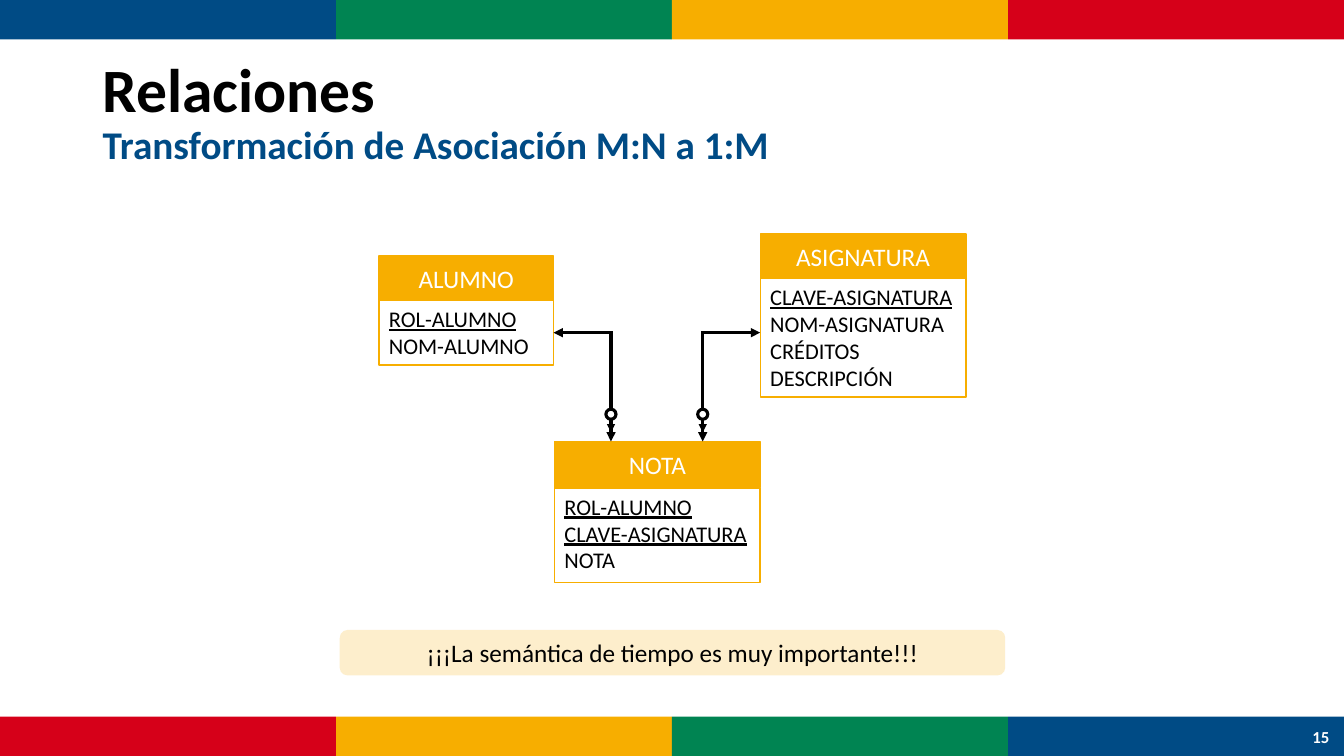
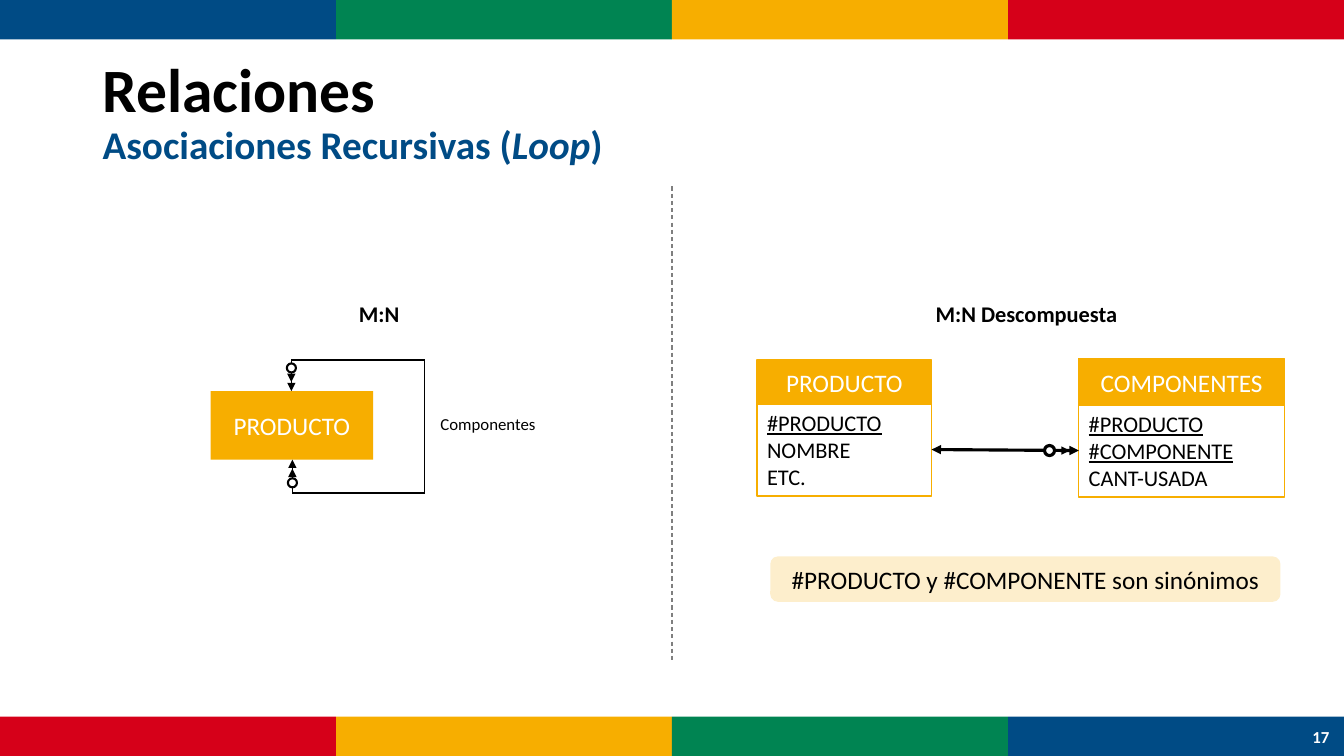
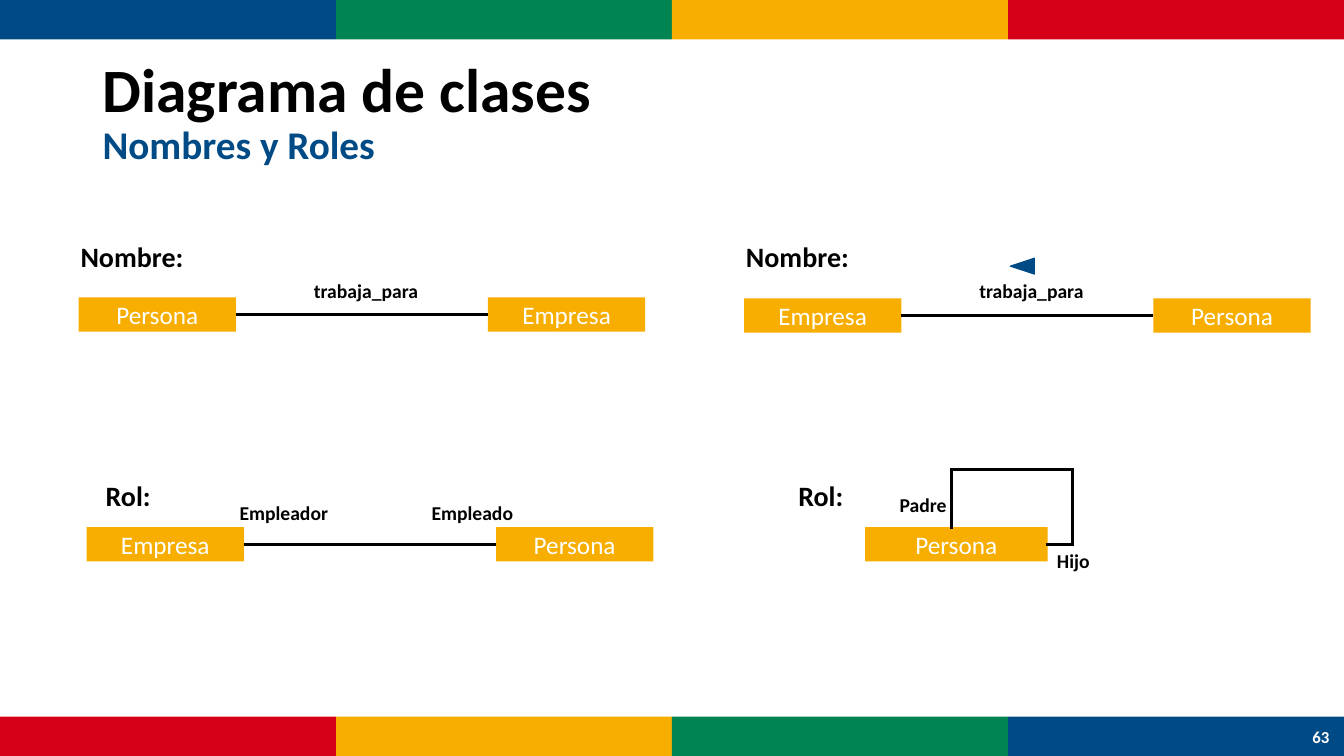
from pptx import Presentation
from pptx.dml.color import RGBColor
from pptx.enum.dml import MSO_LINE
from pptx.enum.shapes import MSO_CONNECTOR, MSO_SHAPE
from pptx.enum.text import MSO_ANCHOR, PP_ALIGN
from pptx.oxml.ns import qn
from pptx.util import Inches, Pt
from lxml import etree

# Shared colours and styles
BLUE = RGBColor(0x00, 0x4B, 0x85)
GREEN = RGBColor(0x00, 0x84, 0x52)
YELLOW = RGBColor(0xF7, 0xAE, 0x00)
RED = RGBColor(0xD6, 0x00, 0x19)
GREY = RGBColor(0x7F, 0x7F, 0x7F)
BLACK = RGBColor(0x00, 0x00, 0x00)
WHITE = RGBColor(0xFF, 0xFF, 0xFF)
BAND_COLORS = [BLUE, GREEN, YELLOW, RED]
FONT = "Calibri"

RECTANGLE = MSO_SHAPE.RECTANGLE
ROUNDED = MSO_SHAPE.ROUNDED_RECTANGLE
OVAL = MSO_SHAPE.OVAL
TRIANGLE = MSO_SHAPE.ISOSCELES_TRIANGLE
STRAIGHT = MSO_CONNECTOR.STRAIGHT
DASH = MSO_LINE.DASH
LEFT, CENTER = PP_ALIGN.LEFT, PP_ALIGN.CENTER
TOP, MIDDLE = MSO_ANCHOR.TOP, MSO_ANCHOR.MIDDLE

# Grid of one-inch cells: columns across, rows down
COLUMNS, ROWS = 13.33, 7.5
BAND_HEIGHT = 0.39
HEADER_HEIGHT = 0.44
CLASS_WIDTH, CLASS_HEIGHT, CLASS_GAP = 1.56, 0.34, 2.5


def grid(*cells):
    return [Inches(cell) for cell in cells]


# Text
def add_run(paragraph, text, size, color=BLACK, bold=False, italic=False, underline=False):
    run = paragraph.add_run()
    run.text = text
    font = run.font
    font.name, font.size = FONT, Pt(size)
    font.bold, font.italic, font.underline = bold, italic, underline
    font.color.rgb = color


def write(shape, lines, size, color=BLACK, bold=False, align=CENTER, anchor=MIDDLE, underlined=0):
    """Write one paragraph per line; the first `underlined` lines are keys."""
    frame = shape.text_frame
    frame.word_wrap = True
    frame.vertical_anchor = anchor
    for index, line in enumerate(lines):
        paragraph = frame.paragraphs[0] if index == 0 else frame.add_paragraph()
        paragraph.alignment = align
        add_run(paragraph, line, size, color, bold, underline=index < underlined)


def add_label(slide, place, text, size, bold=True, align=CENTER, color=BLACK, anchor=TOP):
    label = slide.shapes.add_textbox(*grid(*place))
    write(label, [text], size, color, bold, align, anchor)


# Shapes and lines
def add_block(slide, place, fill=None, line=None, line_width=1, kind=RECTANGLE):
    block = slide.shapes.add_shape(kind, *grid(*place))
    block.shadow.inherit = False
    if fill is None:
        block.fill.background()
    else:
        block.fill.solid()
        block.fill.fore_color.rgb = fill
    if line is None:
        block.line.fill.background()
    else:
        block.line.color.rgb = line
        block.line.width = Pt(line_width)
    return block


def add_line(slide, start, end, width, color=BLACK, head=False, tail=False):
    line = slide.shapes.add_connector(STRAIGHT, *grid(*start, *end))
    line.line.color.rgb = color
    line.line.width = Pt(width)
    properties = line.line._get_or_add_ln()
    for tag, wanted in (("a:headEnd", head), ("a:tailEnd", tail)):
        if wanted:
            etree.SubElement(properties, qn(tag)).set("type", "triangle")
    etree.SubElement(line._element.spPr, qn("a:effectLst"))
    return line


def add_route(slide, points, width, arrows=False):
    """Join the points with straight pieces, with arrowheads at both ends."""
    last = len(points) - 2
    for index, (start, end) in enumerate(zip(points, points[1:])):
        piece = add_line(slide, start, end, width, head=arrows and index == 0,
                         tail=arrows and index == last)
        piece.line._get_or_add_ln().set("cap", "sq")


def add_many_mark(slide, tip, outward, distance, circle=0.1, circle_line=2.25):
    """Second arrowhead and optional circle behind the arrow tip."""
    def behind(length):
        return tip[0] + outward[0] * length, tip[1] + outward[1] * length

    add_line(slide, behind(distance), behind(0.09), 1, tail=True)
    x, y = behind(distance)
    add_block(slide, (x - circle / 2, y - circle / 2, circle, circle),
              WHITE, BLACK, circle_line, OVAL)


# Diagram elements
def add_entity(slide, left, top, width, body_height, name, fields, keys, header=HEADER_HEIGHT):
    title = add_block(slide, (left, top, width, header), YELLOW, YELLOW)
    write(title, [name], 18, WHITE)
    body = add_block(slide, (left, top + header, width, body_height), line=YELLOW)
    write(body, fields, 16, align=LEFT, anchor=TOP, underlined=keys)


def add_callout(slide, place, text):
    callout = add_block(slide, place, YELLOW, kind=ROUNDED)
    color = callout._element.spPr.find(qn("a:solidFill"))[0]
    etree.SubElement(color, qn("a:alpha")).set("val", "20000")
    write(callout, [text], 18)


def add_class(slide, left, top, name, width=CLASS_WIDTH, height=CLASS_HEIGHT):
    write(add_block(slide, (left, top, width, height), YELLOW), [name], 18, WHITE)


def add_association(slide, left, top, names):
    right = left + CLASS_WIDTH + CLASS_GAP
    middle = top + CLASS_HEIGHT / 2
    add_class(slide, left, top, names[0])
    add_class(slide, right, top, names[1])
    add_line(slide, (left + CLASS_WIDTH, middle), (right, middle), 2)


# Shared frame of every slide
def add_slide(presentation, title, subtitle, number):
    slide = presentation.slides.add_slide(presentation.slide_layouts[6])
    width = COLUMNS / len(BAND_COLORS)
    for top, colors in ((0, BAND_COLORS), (ROWS - BAND_HEIGHT, BAND_COLORS[::-1])):
        for column, color in enumerate(colors):
            add_block(slide, (column * width, top, width, BAND_HEIGHT), color)

    heading = slide.shapes.add_textbox(*grid(0.92, 0.4, 11.5, 1.45)).text_frame
    heading.word_wrap = True
    heading.vertical_anchor = MIDDLE
    paragraph = heading.paragraphs[0]
    paragraph.line_spacing = 0.9
    add_run(paragraph, title, 44, bold=True)
    paragraph.add_line_break()
    for text, italic in subtitle:
        add_run(paragraph, text, 28, BLUE, bold=True, italic=italic)

    add_label(slide, (12.87, 7.11, 0.46, 0.4), number, 12, color=WHITE, anchor=MIDDLE)
    return slide


# Slides
def build_transformation(presentation):
    slide = add_slide(presentation, "Relaciones",
                      [("Transformación de Asociación M:N a 1:M", False)], "15")
    add_entity(slide, 3.76, 2.54, 1.73, 0.64, "ALUMNO", ["ROL-ALUMNO", "NOM-ALUMNO"], 1)
    add_entity(slide, 7.54, 2.32, 2.04, 1.18, "ASIGNATURA",
               ["CLAVE-ASIGNATURA", "NOM-ASIGNATURA", "CRÉDITOS", "DESCRIPCIÓN"], 1)
    add_entity(slide, 5.5, 4.38, 2.04, 0.94, "NOTA",
               ["ROL-ALUMNO", "CLAVE-ASIGNATURA", "NOTA"], 2, header=0.46)
    for side, turn in ((5.49, 6.06), (7.54, 6.97)):
        tip = (turn, 4.38)
        add_route(slide, [(side, 3.3), (turn, 3.3), tip], 2.25, arrows=True)
        add_many_mark(slide, tip, (0, -1), 0.27)
    add_callout(slide, (3.37, 6.25, 6.6, 0.45),
                "¡¡¡La semántica de tiempo es muy importante!!!")


def build_recursion(presentation):
    slide = add_slide(presentation, "Relaciones",
                      [("Asociaciones Recursivas (", False), ("Loop", True), (")", False)], "17")
    divider = add_line(slide, (COLUMNS / 2, 1.85), (COLUMNS / 2, 6.56), 0.75, GREY)
    divider.line.dash_style = DASH
    for left, text in ((0.92, "M:N"), (7.34, "M:N Descompuesta")):
        add_label(slide, (left, 2.93, 5.68, 0.37), text, 16)

    # Recursive association
    add_class(slide, 2.09, 3.88, "PRODUCTO", 1.61, 0.68)
    bottom, top = (2.9, 4.56), (2.89, 3.88)
    add_route(slide, [bottom, (2.9, 4.89), (4.21, 4.89), (4.21, 3.57), (2.89, 3.57), top],
              1, arrows=True)
    for tip, outward in ((bottom, (0, 1)), (top, (0, -1))):
        add_many_mark(slide, tip, outward, 0.23, 0.09, 1.5)
    add_label(slide, (4.27, 4.06, 1.16, 0.3), "Componentes", 12, bold=False, align=LEFT)

    # Decomposed association
    add_entity(slide, 7.51, 3.57, 1.73, 0.91, "PRODUCTO", ["#PRODUCTO", "NOMBRE", "ETC."], 1)
    add_entity(slide, 10.7, 3.56, 2.04, 0.91, "COMPONENTES",
               ["#PRODUCTO", "#COMPONENTE", "CANT-USADA"], 2, header=0.46)
    tip = (10.7, 4.47)
    add_line(slide, (9.24, 4.46), tip, 2.25, head=True, tail=True)
    add_many_mark(slide, tip, (-1, 0), 0.29)
    add_callout(slide, (7.64, 5.52, 5.06, 0.45), "#PRODUCTO y #COMPONENTE son sinónimos")


def build_names_and_roles(presentation):
    slide = add_slide(presentation, "Diagrama de clases", [("Nombres y Roles", False)], "63")

    # Association names
    for left, top, names in ((0.78, 2.95, ("Persona", "Empresa")),
                             (7.38, 2.96, ("Empresa", "Persona"))):
        add_association(slide, left, top, names)
        add_label(slide, (left + 2.11, 2.72, 1.48, 0.34), "trabaja_para", 14)
        add_label(slide, (left - 0.08, 2.33, 1.48, 0.44), "Nombre:", 20, align=LEFT)
    direction = add_block(slide, (10.06, 2.52, 0.16, 0.24), BLUE, BLUE, 0.75, TRIANGLE)
    direction.rotation = 270

    # Association roles
    add_association(slide, 0.86, 5.23, ("Empresa", "Persona"))
    add_class(slide, 8.58, 5.23, "Persona", width=1.81)
    add_route(slide, [(10.39, 5.4), (10.64, 5.4), (10.64, 4.66), (9.44, 4.66), (9.44, 5.23)], 2)
    for left, top, role in ((2.19, 4.92, "Empleador"), (4.06, 4.92, "Empleado"),
                            (8.53, 4.84, "Padre"), (10.02, 5.4, "Hijo")):
        add_label(slide, (left, top, 1.25, 0.34), role, 14)
    for left in (0.95, 7.82):
        add_label(slide, (left, 4.7, 0.86, 0.44), "Rol:", 20, align=LEFT)


def main():
    presentation = Presentation()
    presentation.slide_width, presentation.slide_height = grid(COLUMNS, ROWS)
    build_transformation(presentation)
    build_recursion(presentation)
    build_names_and_roles(presentation)
    presentation.save("out.pptx")


if __name__ == "__main__":
    main()
